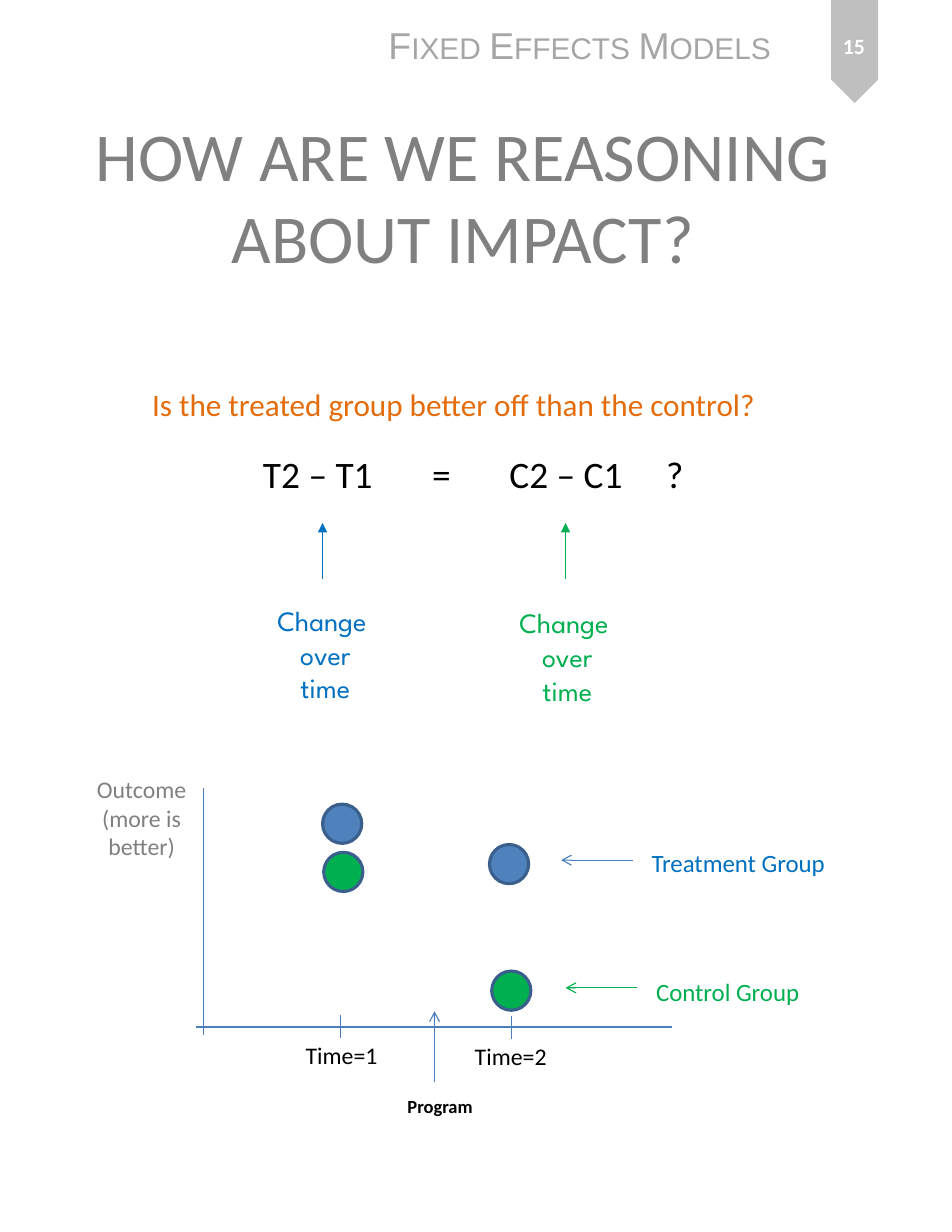
from copy import deepcopy
from dataclasses import dataclass

from lxml.etree import SubElement
from pptx import Presentation
from pptx.dml.color import RGBColor
from pptx.enum.shapes import MSO_CONNECTOR, MSO_SHAPE
from pptx.enum.text import MSO_ANCHOR, MSO_AUTO_SIZE, PP_ALIGN
from pptx.oxml.ns import qn
from pptx.util import Inches, Pt

SLIDE_WIDTH, SLIDE_HEIGHT = Inches(8.5), Inches(11)
COLUMN, ROW = SLIDE_WIDTH / 85, SLIDE_HEIGHT / 110

BLACK, WHITE, GREY = "000000", "FFFFFF", "808080"
RIBBON, HEADER = "BFBFBF", "A6A6A6"
BLUE, GREEN, ORANGE = "0070C0", "00B050", "E46C0A"
AXIS, DOT_BLUE, DOT_EDGE = "4B7EBC", "4F81BD", "3A5F8C"
DOT_SIZE = 3.5


@dataclass(frozen=True)
class Label:
    """Text in a box of grid columns and rows; \\n starts a paragraph, \\v a line."""
    text: str
    left: float
    top: float
    width: float
    height: float
    size: float
    colour: str
    font: str = "Calibri"
    bold: bool = False
    centred: bool = False
    small_caps: bool = False
    wrap: bool = False
    tabs: tuple[float, ...] = ()


@dataclass(frozen=True)
class Line:
    start: tuple[float, float]
    end: tuple[float, float]
    colour: str = AXIS
    head: str = ""


@dataclass(frozen=True)
class Dot:
    left: float
    top: float
    fill: str


TITLE = Label("HOW ARE WE REASONING\vABOUT IMPACT?", 3.1, 8.3, 76.5, 18.3, 44, GREY,
              centred=True, wrap=True)
PAGE_NUMBER = Label("15", 72.9, 1.1, 6.7, 5.9, 14, WHITE, bold=True, centred=True, wrap=True)

LABELS = [
    Label("Fixed Effects Models", 33.7, 1.5, 36.8, 5, 24, HEADER, font="Arial", small_caps=True),
    Label("Is the treated group better off than the control?",
          12.6, 33.9, 57.1, 4.4, 20, ORANGE),
    Label("T2 – T1\t=\tC2 – C1\t?", 22.5, 39.8, 40.4, 5, 24, BLACK,
          wrap=True, tabs=(15.1, 22, 36)),
    Label("Outcome\v(more is\vbetter)", 7.6, 68.7, 10.1, 8.7, 15.3, GREY, centred=True),
    Label("Program", 35.4, 97.3, 8, 3, 11.9, BLACK, bold=True),
    Label("Time=1", 26.3, 92.4, 8.5, 3.6, 15.3, BLACK),
    Label("Time=2", 41.4, 92.5, 8.5, 3.6, 15.3, BLACK),
    Label("Treatment Group", 57.2, 75.2, 17.7, 3.7, 16, BLUE),
    Label("Control Group", 57.6, 86.7, 15, 3.7, 16, GREEN),
] + [
    Label("Change \nover\vtime", left, top, 12.9, 10.1, 18, colour,
          font="League Spartan", centred=True)
    for left, top, colour in [(22.6, 53.4, BLUE), (44.2, 53.6, GREEN)]
]

LINES = [
    Line((18.2, 70.4), (18.2, 92.4)),
    Line((17.5, 91.7), (60, 91.7)),
    Line((30.4, 90.6), (30.4, 92.7)),
    Line((45.7, 90.7), (45.7, 92.8)),
    Line((38.8, 96.6), (38.8, 90.3), head="arrow"),
    Line((56.5, 76.8), (50.1, 76.8), head="arrow"),
    Line((56.9, 88.2), (50.5, 88.2), GREEN, "arrow"),
    Line((28.8, 51.7), (28.8, 46.7), BLUE, "triangle"),
    Line((50.5, 51.7), (50.5, 46.7), GREEN, "triangle"),
]

DOTS = [
    Dot(28.8, 71.8, DOT_BLUE),
    Dot(43.7, 75.4, DOT_BLUE),
    Dot(28.9, 76.1, GREEN),
    Dot(43.9, 86.7, GREEN),
]


def rgb(colour: str) -> RGBColor:
    return RGBColor.from_string(colour)


def grid_box(left: float, top: float, width: float, height: float) -> list[int]:
    return [round(left * COLUMN), round(top * ROW), round(width * COLUMN), round(height * ROW)]


def format_run(run, label: Label) -> None:
    formats = {"name": label.font, "size": Pt(label.size), "bold": label.bold}
    for attribute, value in formats.items():
        setattr(run.font, attribute, value)
    run.font.color.rgb = rgb(label.colour)
    if label.small_caps:
        run.font._element.set("cap", "small")


def write_text(frame, label: Label) -> None:
    frame.text = label.text
    frame.word_wrap = label.wrap
    for paragraph in frame.paragraphs:
        paragraph.alignment = PP_ALIGN.CENTER if label.centred else PP_ALIGN.LEFT
        if label.tabs:
            stops = SubElement(paragraph._p.get_or_add_pPr(), qn("a:tabLst"))
            for stop in label.tabs:
                SubElement(stops, qn("a:tab"), pos=str(round(stop * COLUMN)), algn="l")
        for run in paragraph.runs:
            format_run(run, label)
        # A line break keeps the text size, so that line pitch stays even
        for line_break in paragraph._p.findall(qn("a:br")):
            line_break.insert(0, deepcopy(paragraph.runs[0].font._element))


def add_label(slide, label: Label):
    box = slide.shapes.add_textbox(
        *grid_box(label.left, label.top, label.width, label.height))
    write_text(box.text_frame, label)
    box.text_frame.auto_size = MSO_AUTO_SIZE.SHAPE_TO_FIT_TEXT
    return box


def add_line(slide, line: Line) -> None:
    (x1, y1), (x2, y2) = line.start, line.end
    connector = slide.shapes.add_connector(
        MSO_CONNECTOR.STRAIGHT, round(x1 * COLUMN), round(y1 * ROW),
        round(x2 * COLUMN), round(y2 * ROW))
    connector.line.color.rgb = rgb(line.colour)
    connector.line.width = Pt(0.75)
    if line.head:
        SubElement(connector.line._get_or_add_ln(), qn("a:tailEnd"), type=line.head)
    SubElement(connector._element.spPr, qn("a:effectLst"))


def add_dot(slide, dot: Dot) -> None:
    circle = slide.shapes.add_shape(
        MSO_SHAPE.OVAL, *grid_box(dot.left, dot.top, DOT_SIZE, DOT_SIZE))
    circle.shadow.inherit = False
    circle.fill.solid()
    circle.fill.fore_color.rgb = rgb(dot.fill)
    circle.line.color.rgb = rgb(DOT_EDGE)
    circle.line.width = Pt(2)


def add_page_ribbon(slide) -> None:
    ribbon = slide.shapes.add_shape(MSO_SHAPE.PENTAGON, *grid_box(71.7, 2.5, 9.2, 4.2))
    ribbon.rotation = 90
    ribbon.shadow.inherit = False
    ribbon.fill.solid()
    ribbon.fill.fore_color.rgb = rgb(RIBBON)
    ribbon.line.fill.background()
    number = add_label(slide, PAGE_NUMBER)
    number.text_frame.auto_size = MSO_AUTO_SIZE.NONE
    number.text_frame.vertical_anchor = MSO_ANCHOR.MIDDLE


def place_title(slide) -> None:
    title = slide.shapes.title
    box = grid_box(TITLE.left, TITLE.top, TITLE.width, TITLE.height)
    for attribute, value in zip(("left", "top", "width", "height"), box):
        setattr(title, attribute, value)
    write_text(title.text_frame, TITLE)
    title.text_frame.auto_size = MSO_AUTO_SIZE.NONE
    title.text_frame.vertical_anchor = MSO_ANCHOR.MIDDLE


def main() -> None:
    presentation = Presentation()
    presentation.slide_width, presentation.slide_height = SLIDE_WIDTH, SLIDE_HEIGHT
    slide = presentation.slides.add_slide(presentation.slide_layouts[5])
    place_title(slide)
    add_page_ribbon(slide)
    for line in LINES:
        add_line(slide, line)
    for dot in DOTS:
        add_dot(slide, dot)
    for label in LABELS:
        add_label(slide, label)
    presentation.save("out.pptx")


if __name__ == "__main__":
    main()
